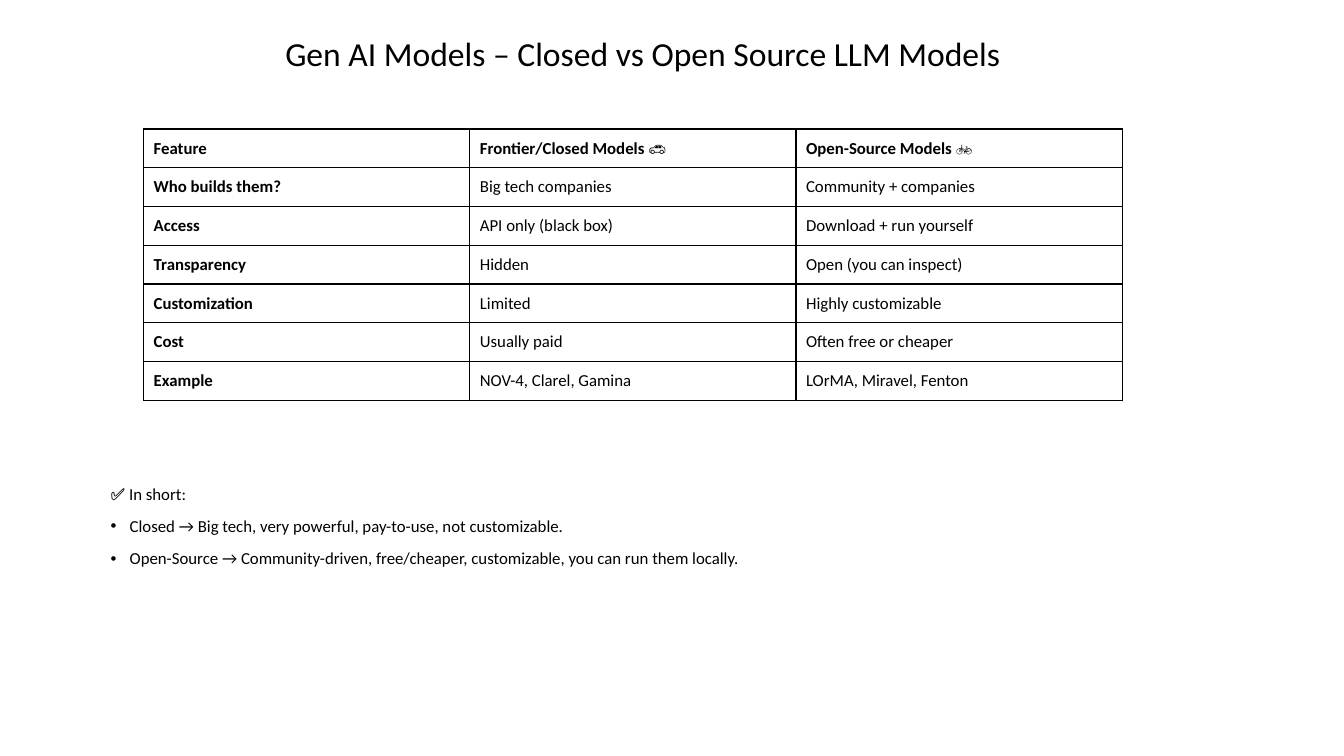
from lxml import etree
from pptx import Presentation
from pptx.dml.color import RGBColor
from pptx.enum.text import MSO_ANCHOR, PP_ALIGN
from pptx.oxml.ns import qn
from pptx.util import Cm, Pt

MIDDLE, BOTTOM = MSO_ANCHOR.MIDDLE, MSO_ANCHOR.BOTTOM
CENTER = PP_ALIGN.CENTER

COLORS = {"text": "000000", "border": "000000", "background": "FFFFFF"}
FONT = "Calibri"
BODY_SIZE = 12
LINE_SPACING = 0.9

TITLE = "Gen AI Models – Closed vs Open Source LLM Models"
COMPARISON = [
    ("Feature", "Frontier/Closed Models 🚗", "Open-Source Models 🚲"),
    ("Who builds them?", "Big tech companies", "Community + companies"),
    ("Access", "API only (black box)", "Download + run yourself"),
    ("Transparency", "Hidden", "Open (you can inspect)"),
    ("Customization", "Limited", "Highly customizable"),
    ("Cost", "Usually paid", "Often free or cheaper"),
    ("Example", "NOV-4, Clarel, Gamina", "LOrMA, Miravel, Fenton"),
]
SUMMARY_HEADING = "✅ In short:"
SUMMARY_POINTS = [
    "Closed → Big tech, very powerful, pay-to-use, not customizable.",
    "Open-Source → Community-driven, free/cheaper, customizable, you can run them locally.",
]


def format_runs(p, size, bold=False):
    for r in p.runs:
        r.font.name = FONT
        r.font.size = Pt(size)
        r.font.bold = bold
        r.font.color.rgb = RGBColor.from_string(COLORS["text"])


def add_text_frame(slide, left, top, width, height):
    tf = slide.shapes.add_textbox(Cm(left), Cm(top), Cm(width), Cm(height)).text_frame
    tf.word_wrap = True
    return tf


def add_title(slide, left, top, width, height):
    tf = add_text_frame(slide, left, top, width, height)
    tf.vertical_anchor = BOTTOM
    tf.text = TITLE
    p = tf.paragraphs[0]
    p.alignment = CENTER
    p.line_spacing = LINE_SPACING
    format_runs(p, 24)


def set_borders(cell):
    """Draw a thin line on all four sides of a cell, ahead of its fill."""
    tc_pr = cell._tc.get_or_add_tcPr()
    for i, side in enumerate(("lnL", "lnR", "lnT", "lnB")):
        ln = etree.Element(qn(f"a:{side}"), w=str(Pt(1)))
        fill = etree.SubElement(ln, qn("a:solidFill"))
        etree.SubElement(fill, qn("a:srgbClr"), val=COLORS["border"])
        tc_pr.insert(i, ln)


def add_comparison(slide, left, top, width, height):
    n_rows, n_cols = len(COMPARISON), len(COMPARISON[0])
    table = slide.shapes.add_table(
        n_rows, n_cols, Cm(left), Cm(top), Cm(width), Cm(height)
    ).table
    table.horz_banding = False
    for col in table.columns:
        col.width = Cm(width / n_cols)
    for i, values in enumerate(COMPARISON):
        table.rows[i].height = Cm(height / n_rows)
        for j, value in enumerate(values):
            cell = table.cell(i, j)
            cell.text = value
            cell.vertical_anchor = MIDDLE
            cell.fill.solid()
            cell.fill.fore_color.rgb = RGBColor.from_string(COLORS["background"])
            set_borders(cell)
            format_runs(cell.text_frame.paragraphs[0], BODY_SIZE, bold=i == 0 or j == 0)


def set_bullet(p):
    p_pr = p._p.get_or_add_pPr()
    indent = Cm(0.48)
    p_pr.set("marL", str(indent))
    p_pr.set("indent", str(-indent))
    etree.SubElement(p_pr, qn("a:buFont"), typeface="Arial")
    etree.SubElement(p_pr, qn("a:buChar"), char="•")


def add_summary(slide, left, top, width, height):
    tf = add_text_frame(slide, left, top, width, height)
    tf.text = "\n".join([SUMMARY_HEADING, *SUMMARY_POINTS])
    for i, p in enumerate(tf.paragraphs):
        p.line_spacing = LINE_SPACING
        if i > 0:
            p.space_before = Pt(10)
            set_bullet(p)
        format_runs(p, BODY_SIZE)


def main():
    prs = Presentation()
    prs.slide_width, prs.slide_height = Cm(33.87), Cm(19.05)
    slide = prs.slides.add_slide(prs.slide_layouts[6])
    add_title(slide, 3.6, 0.2, 25.2, 1.78)
    add_comparison(slide, 3.62, 3.25, 24.66, 6.84)
    add_summary(slide, 2.54, 12.12, 27.1, 6.4)
    prs.save("out.pptx")


if __name__ == "__main__":
    main()
